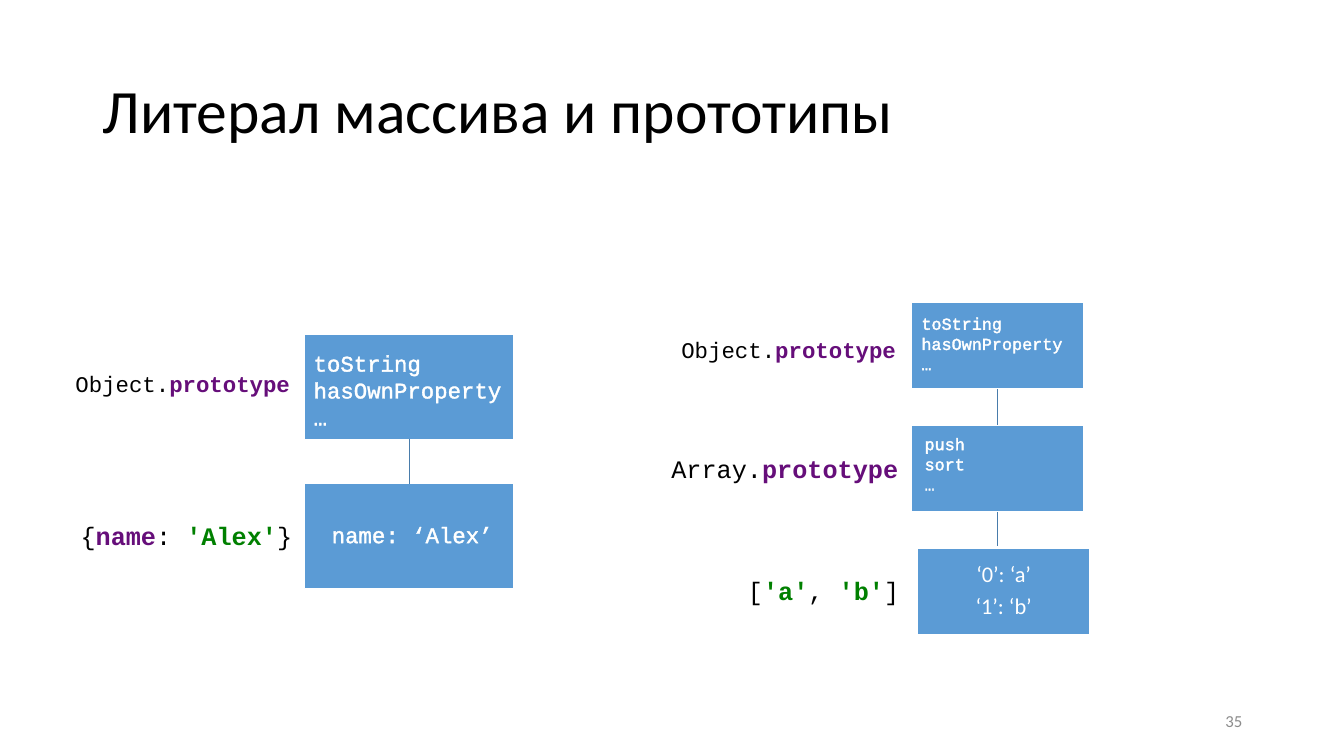
from dataclasses import dataclass

from lxml.etree import SubElement
from pptx import Presentation
from pptx.dml.color import RGBColor
from pptx.enum.shapes import MSO_CONNECTOR as Line, MSO_SHAPE as Preset
from pptx.enum.text import MSO_ANCHOR as Anchor, MSO_AUTO_SIZE as Fit, PP_ALIGN as Align
from pptx.oxml import parse_xml
from pptx.oxml.ns import nsdecls, qn
from pptx.util import Inches, Pt

CODE, BODY = "Courier New", "Calibri"
BLACK, WHITE, GREY = "000000", "FFFFFF", "8C8C8C"
BOX_BLUE, LINE_BLUE = "5B9BD5", "497CAB"
KEY, STRING = "660E7A", "008000"
BOTTOM, TOP = 2, 0


@dataclass
class Run:
    text: str
    color: str = BLACK
    bold: bool = False


@dataclass
class Label:
    runs: list[Run]
    left: float
    top: float
    width: float
    height: float
    size: int


@dataclass
class Box:
    lines: list[str]
    left: float
    top: float
    width: float
    height: float
    size: int
    insets: tuple[float, float, float, float]  # left, top, right, bottom
    code: bool = True


def rgb(color: str) -> RGBColor:
    return RGBColor.from_string(color)


def write(shape, paragraphs: list[list[Run]], *, size: float, font: str = CODE,
          align=Align.LEFT, spacing: float = 1.0, after: float = 0,
          insets=(0.1, 0.05, 0.1, 0.05), wrap: bool = True,
          outlined: bool = False) -> None:
    frame = shape.text_frame
    frame.word_wrap = wrap
    frame.auto_size = Fit.NONE if wrap else Fit.SHAPE_TO_FIT_TEXT
    frame.vertical_anchor = Anchor.MIDDLE
    (frame.margin_left, frame.margin_top,
     frame.margin_right, frame.margin_bottom) = map(Inches, insets)
    for index, parts in enumerate(paragraphs):
        paragraph = frame.paragraphs[0] if index == 0 else frame.add_paragraph()
        paragraph.alignment = align
        paragraph.line_spacing = spacing
        paragraph.space_after = Pt(after)
        for part in parts:
            run = paragraph.add_run()
            run.text = part.text
            run.font.name, run.font.size = font, Pt(size)
            run.font.bold = part.bold
            run.font.color.rgb = rgb(part.color)
            if outlined:
                run.font._element.insert(0, parse_xml(
                    f'<a:ln {nsdecls("a")} w="9525"><a:solidFill>'
                    f'<a:srgbClr val="{part.color}"/></a:solidFill></a:ln>'))


def add_text(slide, left: float, top: float, width: float, height: float,
             paragraphs: list[list[Run]], **style) -> None:
    area = slide.shapes.add_textbox(*map(Inches, (left, top, width, height)))
    write(area, paragraphs, **style)


def add_rectangle(slide, part: Label | Box, fill: str):
    shape = slide.shapes.add_shape(
        Preset.RECTANGLE, *map(Inches, (part.left, part.top, part.width, part.height)))
    shape.shadow.inherit = False
    shape.fill.solid()
    shape.fill.fore_color.rgb = rgb(fill)
    return shape


def add_label(slide, label: Label) -> None:
    shape = add_rectangle(slide, label, WHITE)
    shape.line.fill.background()
    write(shape, [label.runs], size=label.size, wrap=False)


def add_box(slide, box: Box):
    shape = add_rectangle(slide, box, BOX_BLUE)
    shape.line.color.rgb = rgb(WHITE)
    shape.line.width = Pt(1)
    style = (dict(outlined=True) if box.code else
             dict(font=BODY, align=Align.CENTER, spacing=0.9, after=5.6))
    write(shape, [[Run(line, WHITE)] for line in box.lines],
          size=box.size, insets=box.insets, **style)
    return shape


def add_link(slide, upper, lower=None, length: float = 0.34) -> None:
    """Draw down from the upper box, to the lower box or over a set length."""
    x, y = upper.left + upper.width // 2, upper.top + upper.height
    link = slide.shapes.add_connector(Line.STRAIGHT, x, y, x, y + Inches(length))
    link.begin_connect(upper, BOTTOM)
    if lower is not None:
        link.end_connect(lower, TOP)
    link.line.color.rgb = rgb(LINE_BLUE)
    link.line.width = Pt(1)
    SubElement(link._element.spPr, qn("a:effectLst"))


PROTOTYPE = Run("prototype", KEY, True)
OBJECT_METHODS = ["toString", "hasOwnProperty", "…"]

LABELS = [
    Label([Run("Object."), PROTOTYPE], 0.65, 3.62, 2.36, 0.37, 16),
    Label([Run("{"), Run("name", KEY, True), Run(": "),
           Run("'Alex'", STRING, True), Run("}")], 0.7, 5.11, 2.31, 0.4, 18),
    Label([Run("Object."), PROTOTYPE], 6.66, 3.28, 2.36, 0.37, 16),
    Label([Run("Array."), PROTOTYPE], 6.56, 4.45, 2.46, 0.4, 18),
    Label([Run("["), Run("'a'", STRING, True), Run(", "),
           Run("'b'", STRING, True), Run("]")], 7.32, 5.66, 1.71, 0.4, 18),
]

OBJECT_CHAIN = [
    Box(OBJECT_METHODS, 3.02, 3.32, 2.08, 1.04, 16, (0.09, 0.05, 0, 0)),
    Box(["name: ‘Alex’"], 3.02, 4.8, 2.08, 1.04, 16, (0.27, 0, 0, 0.04)),
]
ARRAY_CHAIN = [
    Box(OBJECT_METHODS, 9.04, 3, 1.71, 0.86, 12, (0.1, 0, 0, 0.05)),
    Box(["push", "sort", "…"], 9.04, 4.22, 1.71, 0.86, 12, (0.13, 0, 0, 0.1)),
    Box(["‘0’: ‘a’", "‘1’: ‘b’"], 9.1, 5.44, 1.71, 0.86, 16,
        (0.03, 0.03, 0.03, 0.03), code=False),
]


def main() -> None:
    deck = Presentation()
    deck.slide_width, deck.slide_height = Inches(13.33), Inches(7.5)
    slide = deck.slides.add_slide(deck.slide_layouts[6])

    # Title
    add_text(slide, 0.92, 0.4, 11.5, 1.45, [[Run("Литерал массива и прототипы")]],
             size=44, font=BODY, spacing=0.9)

    # Prototype chains
    object_proto, literal = [add_box(slide, box) for box in OBJECT_CHAIN]
    add_link(slide, object_proto, literal)
    base_proto, array_proto, _ = [add_box(slide, box) for box in ARRAY_CHAIN]
    add_link(slide, base_proto, array_proto)
    add_link(slide, array_proto)

    # Names beside the boxes
    for label in LABELS:
        add_label(slide, label)

    # Page number
    add_text(slide, 9.42, 6.95, 3, 0.4, [[Run("35", GREY)]],
             size=12, font=BODY, align=Align.RIGHT)

    deck.save("out.pptx")


if __name__ == "__main__":
    main()
